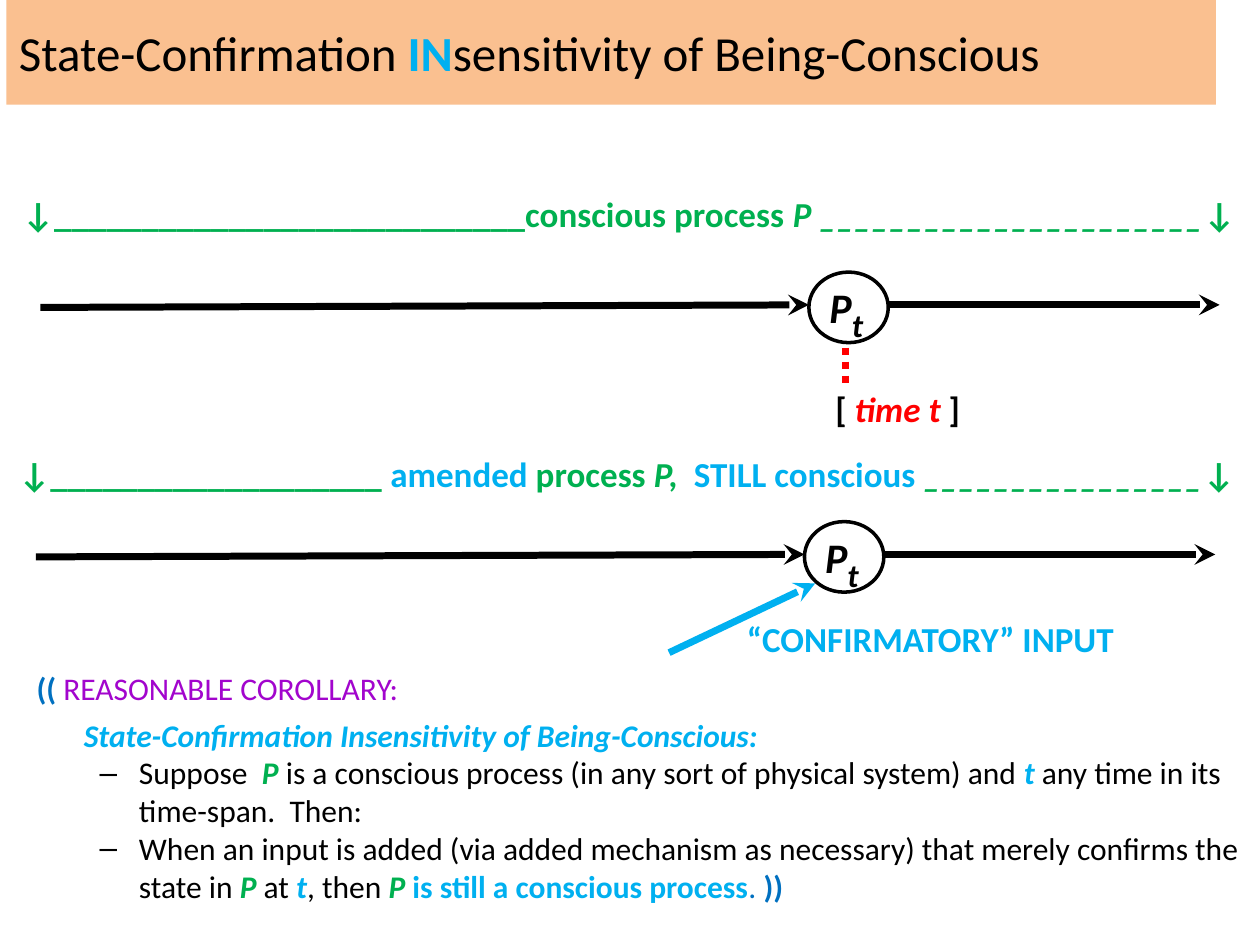
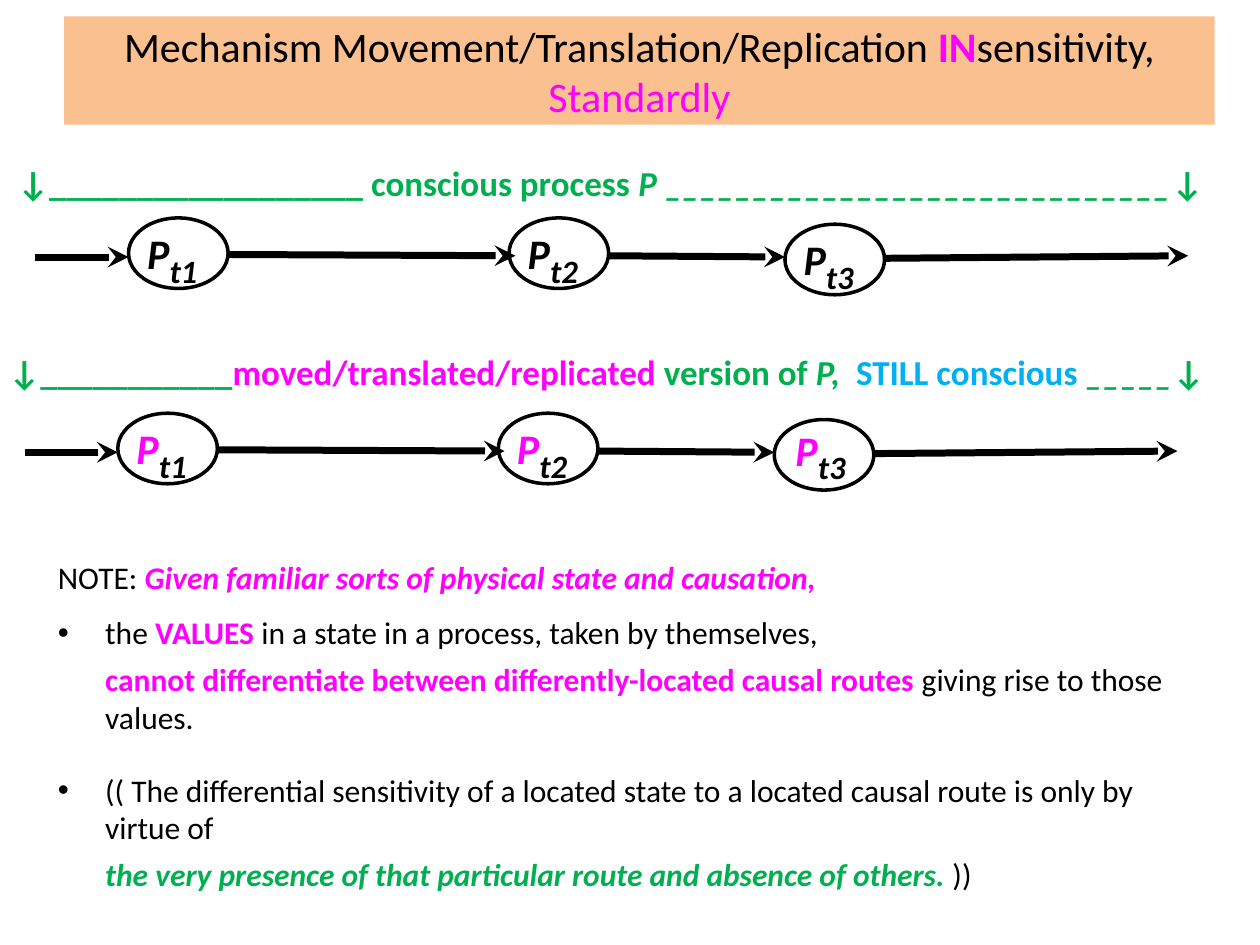
import dataclasses
import typing

import lxml.etree
import pptx
import pptx.dml.color
import pptx.enum.dml
import pptx.enum.shapes
import pptx.enum.text
import pptx.oxml.ns
import pptx.util

SLIDE_WIDTH = pptx.util.Inches(10)
SLIDE_HEIGHT = pptx.util.Inches(7.5)
COLUMNS, ROWS = 100, 75
ALIGN = pptx.enum.text.PP_ALIGN
ANCHOR = pptx.enum.text.MSO_ANCHOR


@dataclasses.dataclass(frozen=True)
class Theme:
    font: str = "Calibri"
    black: str = "000000"
    green: str = "00B050"
    sky: str = "00B0F0"
    blue: str = "0070C0"
    violet: str = "A205CD"
    magenta: str = "FF00FF"
    red: str = "FF0000"
    band: str = "FAC090"
    body: int = 18
    label: int = 20
    state: int = 24
    subscript: int = 32
    outline: int = 2
    arrow: int = 4


THEME = Theme()


class Area(typing.NamedTuple):
    """A rectangle in grid columns and rows."""
    column: float
    row: float
    columns: float
    rows: float


class Point(typing.NamedTuple):
    column: float
    row: float


class Span(typing.NamedTuple):
    text: str
    color: str = THEME.black
    style: str = ""  # any of "b" and "i"
    size: int | None = None
    baseline: int = 0


class Para(typing.NamedTuple):
    spans: list[Span]
    after: float = 0
    margin: float = 0
    hang: float = 0
    bullet: str = ""
    level: int = 0


class Node(typing.NamedTuple):
    """A state circle, placed relative to the start of its track."""
    place: Point
    subscript: str
    label_shift: Point = Point(0.5, -0.85)


@dataclasses.dataclass(frozen=True)
class Track:
    """A process drawn as circles joined by arrows."""
    start: Point
    nodes: list[Node]
    arrows: list[tuple[Point, Point]]
    node_columns: float
    label_columns: float
    state_color: str = THEME.black


def across(columns: float) -> int:
    return round(SLIDE_WIDTH * columns / COLUMNS)


def down(rows: float) -> int:
    return round(SLIDE_HEIGHT * rows / ROWS)


def bounds(area: Area) -> tuple[int, int, int, int]:
    return across(area.column), down(area.row), across(area.columns), down(area.rows)


def moved(start: Point, shift: Point) -> Point:
    return Point(start.column + shift.column, start.row + shift.row)


def rgb(color: str) -> pptx.dml.color.RGBColor:
    return pptx.dml.color.RGBColor.from_string(color)


def add_child(parent, tag: str, **attributes: str) -> None:
    lxml.etree.SubElement(parent, pptx.oxml.ns.qn(tag), attributes)


def write_spans(para, spans: list[Span], size: int) -> None:
    for span in spans:
        if span.text == "\n":
            para.add_line_break()
            continue
        run = para.add_run()
        run.text = span.text
        run.font.name = THEME.font
        run.font.size = pptx.util.Pt(span.size or size)
        run.font.bold = "b" in span.style
        run.font.italic = "i" in span.style
        run.font.color.rgb = rgb(span.color)
        if span.baseline:
            run.font._element.set("baseline", str(span.baseline * 1000))


def place_title(page, area: Area, spans: list[Span], size: int, align) -> None:
    title = page.shapes.title
    title.left, title.top, title.width, title.height = bounds(area)
    title.fill.solid()
    title.fill.fore_color.rgb = rgb(THEME.band)
    frame = title.text_frame
    frame.auto_size = pptx.enum.text.MSO_AUTO_SIZE.NONE
    frame.vertical_anchor = ANCHOR.MIDDLE
    frame.paragraphs[0].alignment = align
    write_spans(frame.paragraphs[0], spans, size)


def place_body(page, area: Area, paras: list[Para]) -> None:
    body = page.placeholders[1]
    body.left, body.top, body.width, body.height = bounds(area)
    frame = body.text_frame
    frame.auto_size = pptx.enum.text.MSO_AUTO_SIZE.NONE
    frame.vertical_anchor = ANCHOR.TOP
    for index, item in enumerate(paras):
        para = frame.add_paragraph() if index else frame.paragraphs[0]
        para.level = item.level
        para.space_before = pptx.util.Pt(0)
        para.space_after = pptx.util.Pt(item.after)
        properties = para._p.get_or_add_pPr()
        properties.set("marL", str(across(item.margin)))
        properties.set("indent", str(-across(item.hang)))
        if item.bullet:
            add_child(properties, "a:buFont", typeface="Arial")
            add_child(properties, "a:buChar", char=item.bullet)
        else:
            add_child(properties, "a:buNone")
        write_spans(para, item.spans, THEME.body)


def add_label(page, area: Area, spans: list[Span], size: int = THEME.label,
              align=ALIGN.LEFT) -> None:
    box = page.shapes.add_textbox(*bounds(area))
    box.text_frame.word_wrap = True
    para = box.text_frame.paragraphs[0]
    para.alignment = align
    write_spans(para, spans, size)


def add_line(page, start: Point, end: Point, color: str = THEME.black,
             dotted: bool = False) -> None:
    """Draw an arrow, or a dotted line without a head."""
    line = page.shapes.add_connector(
        pptx.enum.shapes.MSO_CONNECTOR.STRAIGHT,
        across(start.column), down(start.row), across(end.column), down(end.row))
    line.line.color.rgb = rgb(color)
    line.line.width = pptx.util.Pt(THEME.arrow)
    if dotted:
        line.line.dash_style = pptx.enum.dml.MSO_LINE.ROUND_DOT
    else:
        add_child(line.line._get_or_add_ln(), "a:tailEnd", type="stealth")
    add_child(line._element.spPr, "a:effectLst")


def add_track(page, track: Track) -> None:
    for begin, end in track.arrows:
        add_line(page, moved(track.start, begin), moved(track.start, end))
    for node in track.nodes:
        corner = moved(track.start, node.place)
        circle = page.shapes.add_shape(
            pptx.enum.shapes.MSO_SHAPE.OVAL,
            *bounds(Area(*corner, track.node_columns, 5.6)))
        circle.shadow.inherit = False
        circle.fill.background()
        circle.line.color.rgb = rgb(THEME.black)
        circle.line.width = pptx.util.Pt(THEME.outline)
        add_label(page, Area(*moved(corner, node.label_shift), track.label_columns, 6.4),
                  [Span("P", track.state_color, "bi"),
                   Span(node.subscript, THEME.black, "bi", THEME.subscript, -25)],
                  THEME.state)


def build_confirmation(page) -> None:
    green, sky, blue = THEME.green, THEME.sky, THEME.blue
    place_title(page, Area(0.5, 0, 96, 8.3), [
        Span("State-Confirmation "), Span("IN", sky, "b"),
        Span("sensitivity of Being-Conscious")], 28, ALIGN.LEFT)
    place_body(page, Area(1.9, 52.6, 97.6, 20.5), [
        Para([Span("(( ", blue, "b"), Span("REASONABLE COROLLARY:", THEME.violet)], after=5),
        Para([Span("State-Confirmation Insensitivity of Being-Conscious:", sky, "bi")],
             margin=3.75),
        Para([Span("Suppose  "), Span("P", green, "bi"),
              Span(" is a conscious process (in any sort of physical system) and "),
              Span("t", sky, "bi"), Span(" any time in its time-span.  Then:")],
             margin=8.13, hang=3.13, bullet="–", level=1),
        Para([Span("When an input is added (via added mechanism as necessary) "
                   "that merely confirms the state in "),
              Span("P", green, "bi"), Span(" at "), Span("t", sky, "bi"),
              Span(", then "), Span("P ", green, "bi"),
              Span("is still a conscious process", sky, "b"),
              Span(". ", blue), Span("))", blue, "b")],
             after=35, margin=8.13, hang=3.13, bullet="–", level=1)])

    for start in (Point(3.2, 24.4), Point(2.85, 44.2)):
        add_track(page, Track(
            start, [Node(Point(61, -2.8), "t", Point(0.65, -0.85))],
            [(Point(0, 0), Point(61, -0.2)), (Point(67.3, -0.2), Point(93.6, -0.2))],
            node_columns=6.3, label_columns=5.7))

    add_label(page, Area(0.8, 14.8, 100.5, 4.4), [
        Span("↓" + "_" * 27 + "conscious process ", green, "b"),
        Span("P " + "_" * 22, green, "bi"), Span("↓", green, "b")])
    add_label(page, Area(0.5, 35.4, 100.5, 4.4), [
        Span("↓" + "_" * 19 + " ", green, "b"), Span("amended", sky, "b"),
        Span(" process ", green, "b"), Span("P,  ", green, "bi"),
        Span("STILL conscious ", sky, "b"), Span("_" * 16, green, "bi"),
        Span("↓", green, "b")])
    add_line(page, Point(67.1, 27.6), Point(67.1, 30.6), THEME.red, dotted=True)
    add_label(page, Area(64.7, 30.3, 13.1, 4.4), [
        Span("[ ", style="b"), Span("time t ", THEME.red, "bi"), Span("]", style="b")],
        align=ALIGN.CENTER)
    add_line(page, Point(53.1, 51.8), Point(64.7, 46.3), sky)
    add_label(page, Area(58.3, 48.5, 32.6, 4.4), [Span("“CONFIRMATORY” INPUT", sky, "b")])


def build_movement(page) -> None:
    green, sky, magenta = THEME.green, THEME.sky, THEME.magenta
    place_title(page, Area(5.1, 1.3, 91.3, 8.6), [
        Span("Mechanism Movement/Translation/Replication "), Span("IN", magenta, "b"),
        Span("sensitivity,"), Span("\n"), Span("Standardly", magenta)], 24, ALIGN.CENTER)
    indent = 3.75
    place_body(page, Area(3.6, 43.8, 90, 29.1), [
        Para([Span("NOTE: "),
              Span("Given familiar sorts of physical state and causation,", magenta, "bi")],
             after=10),
        Para([Span("the "), Span("VALUES ", magenta, "b"),
              Span("in a state in a process, taken by themselves,")],
             after=5, margin=indent, hang=indent, bullet="•"),
        Para([Span("cannot differentiate between differently-located causal routes ",
                   magenta, "b"), Span("giving rise to those values.")],
             after=20, margin=indent),
        Para([Span("(( The differential sensitivity of a located state to a located "
                   "causal route is only by virtue of")],
             after=5, margin=indent, hang=indent, bullet="•"),
        Para([Span("the very presence of that particular route and absence of others. ",
                   green, "bi"), Span("))")], after=40, margin=indent)])

    nodes = [Node(Point(7.4, -3.1), "t1"), Node(Point(37.6, -3.1), "t2"),
             Node(Point(59.5, -2.6), "t3")]
    arrows = [(Point(0, 0), Point(7.4, 0)), (Point(15.2, -0.2), Point(38.1, -0.1)),
              (Point(45.5, -0.1), Point(59.5, 0)), (Point(67.4, 0.1), Point(91.5, -0.1))]
    conscious = Track(Point(2.8, 20.4), nodes, arrows, node_columns=7.9, label_columns=7.4)
    raised = nodes[2]._replace(label_shift=Point(0.7, -1.25))
    replicated = dataclasses.replace(conscious, start=Point(1.95, 35.9),
                                     nodes=[*nodes[:2], raised], state_color=magenta)
    for track in (conscious, replicated):
        add_track(page, track)

    add_label(page, Area(0.4, 12.3, 97.4, 4.4), [
        Span("↓" + "_" * 18 + " conscious process ", green, "b"),
        Span("P " + "_" * 29, green, "bi"), Span("↓", green, "b")])
    add_label(page, Area(-0.3, 27.3, 100.5, 4.4), [
        Span("↓" + "_" * 11, green, "b"),
        Span("moved/translated/replicated ", magenta, "b"),
        Span("version of ", green, "b"), Span("P,  ", green, "bi"),
        Span("STILL conscious ", sky, "b"), Span("_" * 5, green, "bi"),
        Span("↓", green, "b")])


def main() -> None:
    deck = pptx.Presentation()
    deck.slide_width, deck.slide_height = SLIDE_WIDTH, SLIDE_HEIGHT
    title_and_content = deck.slide_layouts[1]
    for build in (build_confirmation, build_movement):
        build(deck.slides.add_slide(title_and_content))
    deck.save("out.pptx")


if __name__ == "__main__":
    main()
